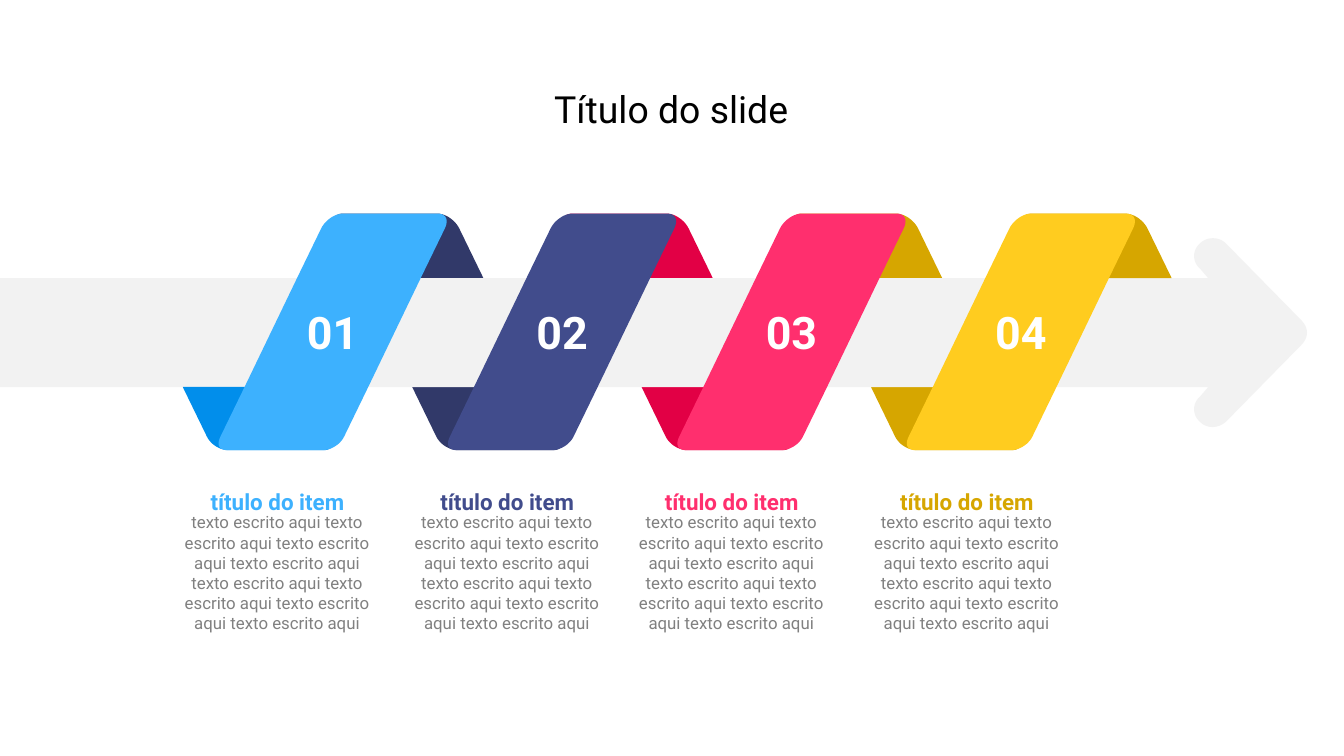
"""Build a four-step ribbon timeline wrapped around an arrow."""
from pptx import Presentation, util as u
from pptx.dml.color import RGBColor
from pptx.enum import text

PX = 9144
COLORS = {
    "sky": "3DB1FE", "sky_dark": "018EEB", "navy": "414C8C", "navy_dark": "313969",
    "pink": "FF2F6E", "pink_dark": "E20045", "yellow": "FFCC1F", "yellow_dark": "D6A600",
    "arrow": "F2F2F2", "black": "000000", "white": "FFFFFF", "grey": "808080",
}
PITCH = 170.7


def write(box, words, size, color, bold=False, spacing=None, inset=0,
          anchor=text.MSO_ANCHOR.TOP):
    frame = box.text_frame
    frame.word_wrap = True
    frame.auto_size = text.MSO_AUTO_SIZE.NONE
    frame.vertical_anchor = anchor
    frame.margin_left = frame.margin_right = inset * PX
    frame.margin_top = frame.margin_bottom = inset * PX
    line = frame.paragraphs[0]
    line.alignment = text.PP_ALIGN.CENTER
    line.line_spacing = spacing
    run = line.add_run()
    run.text = words
    run.font.name = "Roboto"
    run.font.size = u.Pt(size)
    run.font.bold = bold
    run.font.color.rgb = RGBColor.from_string(COLORS[color])


def draw(steps, color, left=0, mirror=False):
    """Draw lines (x, y) and cubic curves (x1, y1, x2, y2, x, y)."""
    points = []
    for step in steps:
        if len(step) == 2:
            points.append(step)
            continue
        x0, y0 = points[-1]
        x1, y1, x2, y2, x3, y3 = step
        for i in range(1, 13):
            t = i / 12
            a, b, c, d = (1 - t) ** 3, 3 * t * (1 - t) ** 2, 3 * t * t * (1 - t), t ** 3
            points.append((a * x0 + b * x1 + c * x2 + d * x3,
                           a * y0 + b * y1 + c * y2 + d * y3))
    placed = [((left + (169 - x if mirror else x)) * PX, y * PX) for x, y in points]
    builder = slide.shapes.build_freeform(*placed[0])
    builder.add_line_segments(placed[1:], close=True)
    outline = builder.convert_to_shape()
    outline.fill.solid()
    outline.fill.fore_color.rgb = RGBColor.from_string(COLORS[color])
    outline.line.fill.background()
    outline.shadow.inherit = False
    return outline


deck = Presentation()
deck.slide_width = 1000 * PX
deck.slide_height = deck.slide_width * 9 // 16
slide = deck.slides.add_slide(deck.slide_layouts[5])

title = slide.shapes.title
title.left, title.top, title.width, title.height = 371 * PX, 62 * PX, 257 * PX, 38 * PX
write(title, "Título do slide", 20, "black", inset=2)

fold_top = [(19, 207), (1, 170), (-2, 164, 0, 159, 6, 159), (77, 159),
            (83, 159, 90, 164, 93, 170), (111, 207)]
fold_bottom = [(150, 288), (168, 325), (171, 331, 169, 335, 163, 335), (92, 335),
               (86, 335, 79, 331, 76, 325), (58, 288)]
ribbon = fold_top + fold_bottom
arrow = [(0, 207), (899, 207), (893, 200), (887, 195, 887, 186, 893, 181),
         (898, 176, 907, 176, 912, 181), (968, 238), (974, 244, 974, 251, 968, 257),
         (912, 314), (906, 319, 898, 319, 893, 314), (887, 309, 887, 300, 893, 295),
         (899, 288), (0, 288)]

for turn, color in enumerate(("navy_dark", "pink_dark", "yellow_dark"), 1):
    draw(ribbon, color, left=78 + turn * PITCH)
draw(arrow, "arrow")
draw(fold_top, "yellow_dark", left=78 + 4 * PITCH)
draw(fold_bottom, "sky_dark", left=78)

items = [("sky", "sky", 132), ("navy", "navy", 303),
         ("pink", "pink", 470), ("yellow", "yellow_dark", 645)]
for number, (color, heading_color, left) in enumerate(items):
    front = draw(ribbon, color, left=163 + number * PITCH, mirror=True)
    write(front, f"{number + 1:02}", 24, "white", bold=True,
          anchor=text.MSO_ANCHOR.MIDDLE)
    body = slide.shapes.add_textbox(left * PX, 381 * PX, 148 * PX, 91 * PX)
    write(body, " ".join(["texto escrito aqui"] * 8), 9, "grey")
    heading = slide.shapes.add_textbox((left + 3) * PX, 353 * PX, 143 * PX, 28 * PX)
    write(heading, "título do item", 12, heading_color, bold=True, spacing=1.5)

deck.save("out.pptx")
